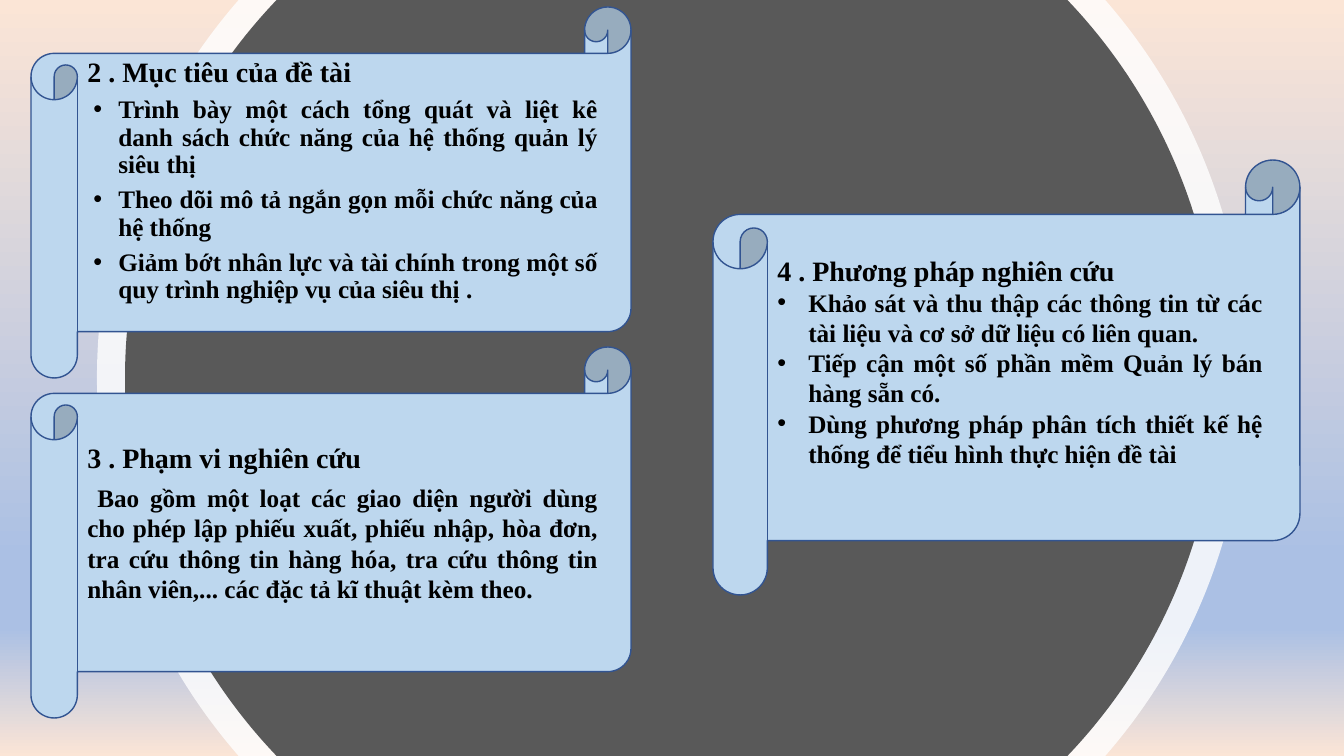
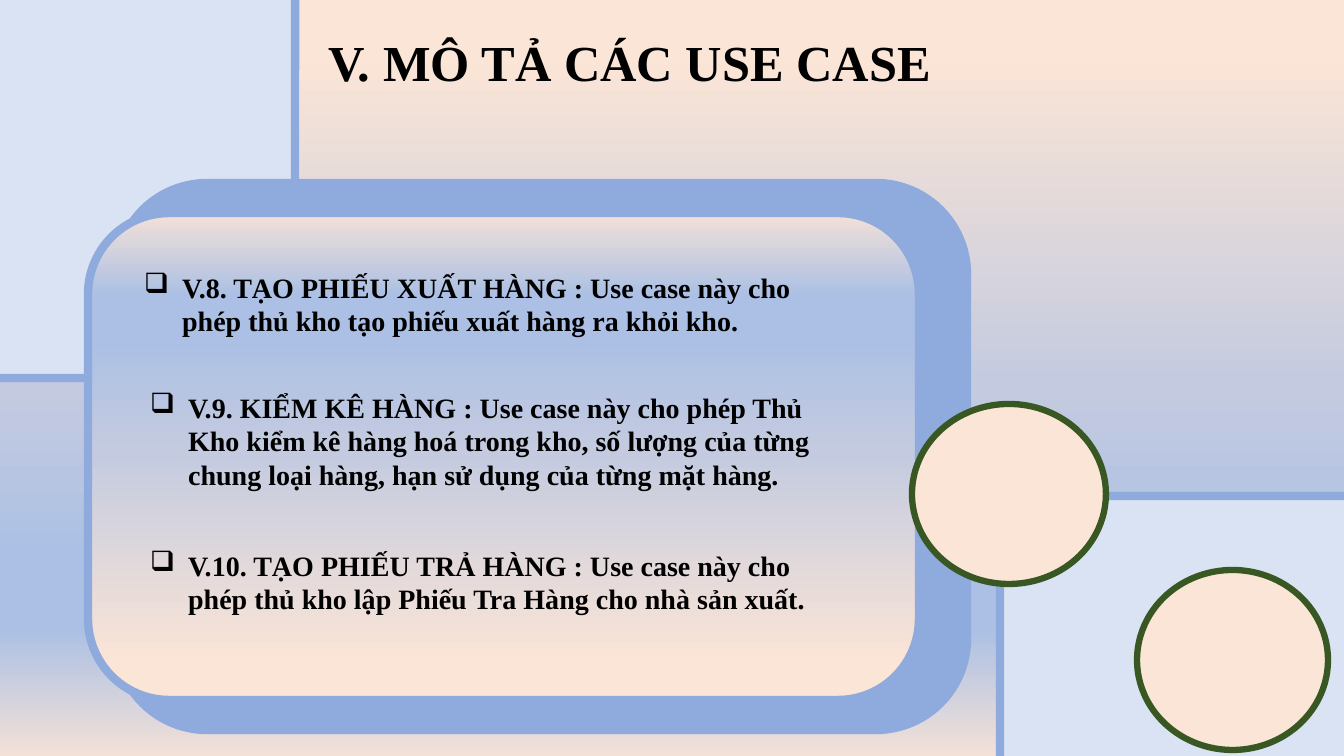
from dataclasses import dataclass
from math import asin, cos, sin, tan

from lxml import etree
from pptx import Presentation
from pptx.dml.color import RGBColor
from pptx.enum.shapes import MSO_SHAPE
from pptx.enum.text import MSO_ANCHOR, MSO_AUTO_SIZE, PP_ALIGN
from pptx.oxml.ns import qn
from pptx.util import Pt

SCROLL = MSO_SHAPE.HORIZONTAL_SCROLL
ROUNDED = MSO_SHAPE.ROUNDED_RECTANGLE
ELLIPSE = MSO_SHAPE.OVAL
TOP, BOTTOM = MSO_ANCHOR.TOP, MSO_ANCHOR.BOTTOM
LEFT, JUSTIFY = PP_ALIGN.LEFT, PP_ALIGN.JUSTIFY
NO_FIT = MSO_AUTO_SIZE.NONE

EMU_PER_PX = 914400 / 100.8
WIDTH, HEIGHT = 1344, 756
DOT = ("Arial", "•")
CHECKBOX = ("Wingdings", "q")


@dataclass(frozen=True)
class Theme:
    """Colours, gradients, font and type sizes of the deck."""
    font: str = "Times New Roman"
    text: str = "000000"
    white: str = "FFFFFF"
    disc: str = "595959"
    scroll: str = "BDD7EE"
    scroll_edge: str = "325491"
    panel: str = "DAE3F3"
    accent: str = "8FAADC"
    peach: str = "FBE5D6"
    green: str = "385723"
    dawn: tuple = ((0, "FBE5D6"), (74, "ABC0E4"), (83, "ABC0E4"), (100, "FBE5D6"))
    dusk: tuple = ((7, "FBE5D6"), (51, "C4CBE0"), (74, "ABC0E4"),
                   (83, "ABC0E4"), (100, "F3E1D8"), (100, "C7D5ED"))
    title_size: int = 36
    heading_size: int = 20
    body_size: int = 18


THEME = Theme()


def px(length):
    """Turn px into EMU."""
    return round(length * EMU_PER_PX)


def rgb(colour):
    """Turn a hex string into a colour."""
    return RGBColor.from_string(colour)


def fill_gradient(fill, owner, stops):
    """Fill from top to bottom through the given stops."""
    fill.gradient()
    fill.gradient_angle = 270
    stop_list = next(owner.iter(qn("a:gsLst")))
    for old_stop in list(stop_list):
        stop_list.remove(old_stop)
    for position, colour in stops:
        stop = etree.SubElement(stop_list, qn("a:gs"), pos=str(position * 1000))
        etree.SubElement(stop, qn("a:srgbClr"), val=colour)


def add_panel(slide, kind, box, fill, edge, edge_width, rotation=0):
    """Add a preset shape with a solid or gradient fill and an outline."""
    panel = slide.shapes.add_shape(kind, *map(px, box))
    panel.shadow.inherit = False
    panel.rotation = rotation
    if isinstance(fill, tuple):
        fill_gradient(panel.fill, panel.element, fill)
    else:
        panel.fill.solid()
        panel.fill.fore_color.rgb = rgb(fill)
    panel.line.color.rgb = rgb(edge)
    panel.line.width = Pt(edge_width)
    return panel


def bend(segment, controls, origin):
    """Turn a straight outline segment into a cubic curve."""
    end = segment[0]
    segment.tag = qn("a:cubicBezTo")
    for x, y in controls:
        point = etree.Element(qn("a:pt"), x=str(px(x) - origin[0]), y=str(px(y) - origin[1]))
        end.addprevious(point)


def add_disc(slide, radius, colour, opacity=100):
    """Add a disc centred on the slide and cut at its top and bottom edges."""
    middle_x, middle_y = WIDTH / 2, HEIGHT / 2
    reach = asin(middle_y / radius)
    handle = 4 / 3 * tan(reach / 4) * radius
    half_chord = radius * cos(reach)
    lean, drop = handle * sin(reach), handle * cos(reach)
    corners = ((-half_chord, 0), (half_chord, 0), (radius, middle_y), (half_chord, HEIGHT),
               (-half_chord, HEIGHT), (-radius, middle_y), (-half_chord, 0))
    outline = [(px(middle_x + x), px(y)) for x, y in corners]
    builder = slide.shapes.build_freeform(*outline[0])
    builder.add_line_segments(outline[1:], close=True)
    disc = builder.convert_to_shape()
    sides = list(disc.element.iter(qn("a:lnTo")))
    for side, first, second in ((1, 1, -1), (-1, 4, 5)):
        rim, shoulder = middle_x + side * radius, middle_x + side * (half_chord + lean)
        upper = [(shoulder, drop), (rim, middle_y - handle)]
        lower = [(rim, middle_y + handle), (shoulder, HEIGHT - drop)]
        arcs = (upper, lower) if side > 0 else (lower[::-1], upper[::-1])
        for segment, controls in zip(sides[first:first + 2], arcs):
            bend(segment, controls, (disc.left, disc.top))
    disc.shadow.inherit = False
    disc.fill.solid()
    disc.fill.fore_color.rgb = rgb(colour)
    disc.line.fill.background()
    if opacity < 100:
        tint = next(disc.element.iter(qn("a:srgbClr")))
        etree.SubElement(tint, qn("a:alpha"), val=str(opacity * 1000))


def write(frame, text, size, first=False, align=LEFT, bullet=None, margin=0, indent=0,
          after=0, spacing=1.0):
    """Write one bold paragraph, with a bullet if given."""
    paragraph = frame.paragraphs[0] if first else frame.add_paragraph()
    properties = paragraph._p.get_or_add_pPr()
    properties.set("marL", str(px(margin)))
    properties.set("indent", str(px(indent)))
    if bullet:
        bullet_font, mark = bullet
        etree.SubElement(properties, qn("a:buFont"), typeface=bullet_font)
        etree.SubElement(properties, qn("a:buChar"), char=mark)
    else:
        etree.SubElement(properties, qn("a:buNone"))
    paragraph.alignment = align
    paragraph.line_spacing = spacing
    paragraph.space_before = Pt(0)
    paragraph.space_after = Pt(after)
    run = paragraph.add_run()
    run.text = text
    run.font.name = THEME.font
    run.font.size = Pt(size)
    run.font.bold = True
    run.font.color.rgb = rgb(THEME.text)


def add_scroll(slide, box, heading, items, top_inset=5, bullet=DOT, margin=31,
               indent=-25, after=0, spacing=1.0):
    """Add a scroll with a heading and justified paragraphs."""
    scroll = add_panel(slide, SCROLL, box, THEME.scroll, THEME.scroll_edge, 1)
    frame = scroll.text_frame
    frame.word_wrap = True
    frame.vertical_anchor = TOP
    frame.margin_top = px(top_inset)
    write(frame, heading, THEME.heading_size, first=True, after=after, spacing=spacing)
    for item in items:
        write(frame, item, THEME.body_size, align=JUSTIFY, bullet=bullet, margin=margin,
              indent=indent, after=after, spacing=spacing)


def place_placeholder(placeholder, box, anchor, top_inset=5, bottom_inset=5):
    """Move a placeholder to its box, in front, and return its text frame."""
    placeholder.left, placeholder.top, placeholder.width, placeholder.height = map(px, box)
    placeholder.element.getparent().append(placeholder.element)
    frame = placeholder.text_frame
    frame.word_wrap = True
    frame.auto_size = NO_FIT
    frame.vertical_anchor = anchor
    frame.margin_top, frame.margin_bottom = px(top_inset), px(bottom_inset)
    return frame


def add_card(slide, box):
    """Add the gradient card over its larger backing."""
    left, top, width, height = box
    backing = (left + 28, top - 30, width + 20, height + 60)
    for part, fill in ((backing, THEME.accent), (box, THEME.dusk)):
        add_panel(slide, ROUNDED, part, fill, THEME.accent, 6, rotation=180)


def build_aims(deck):
    """Build the slide of aims, scope and method."""
    slide = deck.slides.add_slide(deck.slide_layouts[6])
    fill_gradient(slide.background.fill, slide.element, THEME.dawn)
    add_disc(slide, 575, THEME.white, opacity=80)
    add_disc(slide, 547, THEME.disc)
    add_scroll(slide, (31, 7, 600, 371), "2 . Mục tiêu của đề tài", (
        "Trình bày một cách tổng quát và liệt kê danh sách chức năng "
        "của hệ thống quản lý siêu thị",
        "Theo dõi mô tả ngắn gọn mỗi chức năng của hệ thống",
        "Giảm bớt nhân lực và tài chính trong một số quy trình nghiệp vụ của siêu thị .",
    ), after=6, spacing=0.9)
    add_scroll(slide, (31, 347, 600, 371), "3 . Phạm vi nghiên cứu", (
        "Bao gồm một loạt các giao diện người dùng cho phép lập phiếu xuất, phiếu nhập, "
        "hòa đơn, tra cứu thông tin hàng hóa, tra cứu thông tin nhân viên,... "
        "các đặc tả kĩ thuật kèm theo.",
    ), top_inset=47, bullet=None, margin=0, indent=10, after=6)
    add_scroll(slide, (713, 160, 587, 435), "4 . Phương pháp nghiên cứu", (
        "Khảo sát và thu thập các thông tin từ các tài liệu và cơ sở dữ liệu có liên quan.",
        "Tiếp cận một số phần mềm Quản lý bán hàng sẵn có.",
        "Dùng phương pháp phân tích thiết kế hệ thống để tiểu hình thực hiện đề tài",
    ), top_inset=39, indent=-31)


def build_use_cases(deck):
    """Build the slide that describes the use cases."""
    slide = deck.slides.add_slide(deck.slide_layouts[4])
    fill_gradient(slide.background.fill, slide.element, THEME.dusk)
    title = place_placeholder(slide.shapes.title, (318, 6, 818, 148), BOTTOM, bottom_inset=62)
    write(title, "V. MÔ TẢ CÁC USE CASE", THEME.title_size, first=True)
    for corner in ((-293, -112, 588, 490), (1000, 496, 541, 569)):
        add_panel(slide, ROUNDED, corner, THEME.panel, THEME.accent, 6, rotation=180)
    add_card(slide, (88, 213, 831, 487))
    for circle in ((912, 404, 194, 180), (1137, 570, 191, 180)):
        add_panel(slide, ELLIPSE, circle, THEME.peach, THEME.green, 4.5)
    use_cases = (
        ("V.8. TẠO PHIẾU XUẤT HÀNG : Use case này cho phép thủ kho tạo phiếu xuất hàng "
         "ra khỏi kho.", (134, 232, 678, 146), 38),
        ("V.9. KIỂM KÊ HÀNG : Use case này cho phép Thủ Kho kiểm kê hàng hoá trong kho, "
         "số lượng của từng chung loại hàng, hạn sử dụng của từng mặt hàng.",
         (140, 385, 726, 146), 5),
        ("V.10. TẠO PHIẾU TRẢ HÀNG : Use case này cho phép thủ kho lập Phiếu Tra Hàng "
         "cho nhà sản xuất.", (140, 543, 684, 112), 5),
    )
    *bodies, spare = list(slide.placeholders)[1:]
    spare.element.getparent().remove(spare.element)
    for body, (text, box, top_inset) in zip(bodies, use_cases):
        frame = place_placeholder(body, box, TOP, top_inset)
        write(frame, text, THEME.heading_size, first=True, bullet=CHECKBOX,
              margin=38, indent=-38)


def main():
    """Build and save the deck."""
    deck = Presentation()
    deck.slide_width, deck.slide_height = px(WIDTH), px(HEIGHT)
    build_aims(deck)
    build_use_cases(deck)
    deck.save("out.pptx")


if __name__ == "__main__":
    main()
